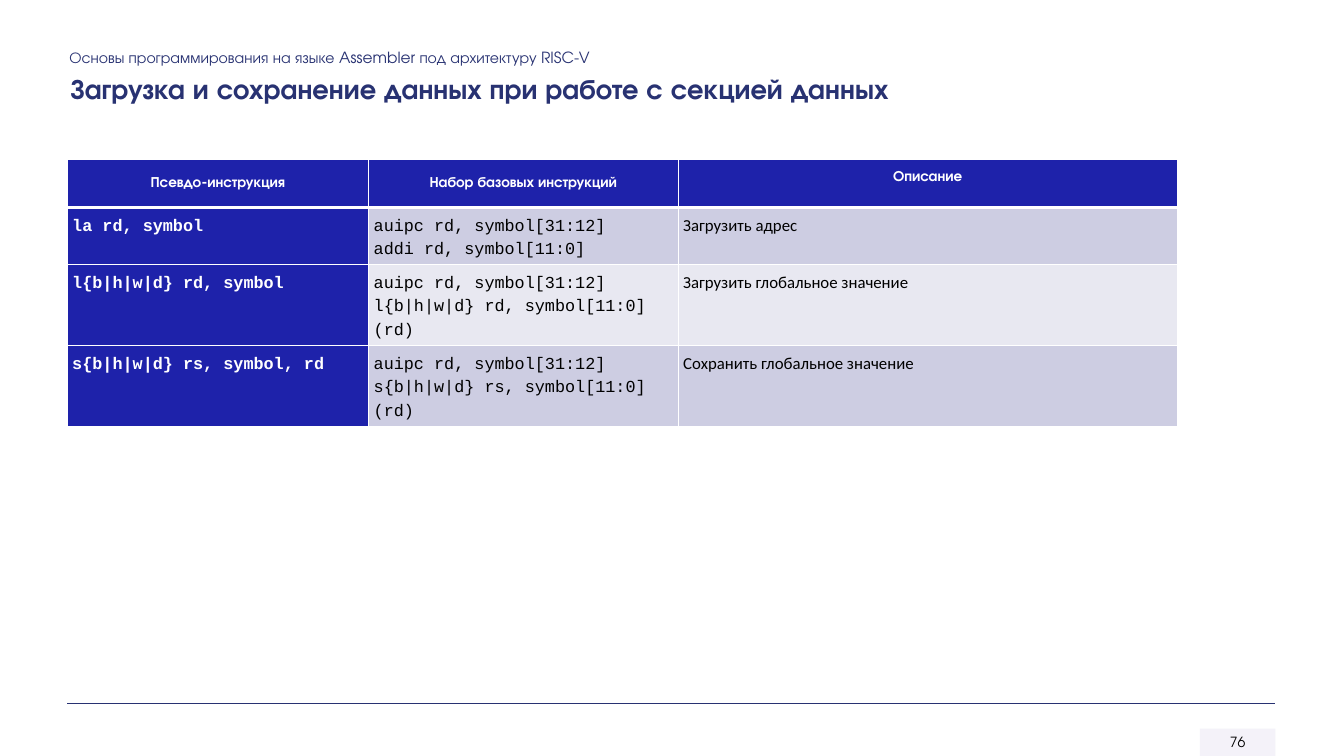
from lxml.etree import SubElement as Sub
from pptx import Presentation
from pptx.dml.color import RGBColor as RGB
from pptx.enum.shapes import MSO_CONNECTOR as CONN, MSO_SHAPE as SHAPE
from pptx.enum.text import MSO_ANCHOR as ANCHOR, PP_ALIGN as ALIGN
from pptx.oxml.ns import qn
from pptx.util import Inches, Pt

WIDTH, HEIGHT = 13.33, 7.5
COLORS = {"navy": "283272", "blue": "1E22AA", "band": "CDCDE2", "light": "E8E8F1",
          "badge": "F3F1F9", "white": "FFFFFF", "black": "000000"}
SANS, MONO, BODY = "TeX Gyre Adventor", "Courier New", "Calibri"

HEADER = {"name": SANS, "size": 10.5, "bold": True, "color": "white"}
COLUMN_FONTS = [
    {"name": MONO, "size": 12, "bold": True, "color": "white"},
    {"name": MONO, "size": 12, "bold": False, "color": "black"},
    {"name": BODY, "size": 12, "bold": False, "color": "black"},
]
HEADER_PARA = {"alignment": ALIGN.CENTER, "line_spacing": 1.07, "space_after": Pt(8)}
BODY_PARA = {"line_spacing": Pt(16.8), "space_after": Pt(8)}

COL_WIDTHS = [2.99, 3.07, 4.95]
ROW_HEIGHTS = [0.48, 0.56, 0.8, 0.8]
ROWS = [
    ["Псевдо-инструкция", "Набор базовых инструкций", "Описание"],
    ["la rd, symbol", "auipc rd, symbol[31:12]\naddi rd, symbol[11:0]", "Загрузить адрес"],
    ["l{b|h|w|d} rd, symbol", "auipc rd, symbol[31:12]\nl{b|h|w|d} rd, symbol[11:0](rd)",
     "Загрузить глобальное значение"],
    ["s{b|h|w|d} rs, symbol, rd", "auipc rd, symbol[31:12]\ns{b|h|w|d} rs, symbol[11:0](rd)",
     "Сохранить глобальное значение"],
]


def rgb(color):
    return RGB.from_string(COLORS[color])


def set_attrs(target, values):
    for key, value in values.items():
        setattr(target, key, value)


class Slide:
    """Current slide; positions and sizes are shares of its width and height."""

    def __init__(self, prs):
        self.prs = prs
        self.s = prs.slides.add_slide(prs.slide_layouts[6])

    def box(self, x, y, w, h):
        W, H = self.prs.slide_width, self.prs.slide_height
        return [int(v) for v in (x * W, y * H, w * W, h * H)]

    def fill_text(self, tf, text, font, para=None):
        p = tf.paragraphs[0]
        p.text = text
        set_attrs(p, para or {})
        for r in p.runs:
            set_attrs(r.font, {"name": font["name"], "size": Pt(font["size"]),
                               "bold": font.get("bold", False)})
            r.font.color.rgb = rgb(font["color"])

    def text(self, area, text, font, wrap=True):
        tf = self.s.shapes.add_textbox(*self.box(*area)).text_frame
        tf.word_wrap = wrap
        self.fill_text(tf, text, font)

    def rule(self, x1, x2, y, color):
        left, top, right, _ = self.box(x1, y, x2, 0)
        line = self.s.shapes.add_connector(CONN.STRAIGHT, left, top, right, top)
        line.line.color.rgb = rgb(color)
        line.line.width = Pt(1)
        Sub(line._element.spPr, qn("a:effectLst"))

    def badge(self, area, text, font, fill, opacity):
        sp = self.s.shapes.add_shape(SHAPE.RECTANGLE, *self.box(*area))
        sp.shadow.inherit = False
        sp.fill.solid()
        sp.fill.fore_color.rgb = rgb(fill)
        color = sp._element.spPr.find(f".//{qn('a:srgbClr')}")
        Sub(color, qn("a:alpha"), val=str(opacity * 1000))
        sp.line.fill.background()
        sp.text_frame.vertical_anchor = ANCHOR.MIDDLE
        self.fill_text(sp.text_frame, text, font, {"alignment": ALIGN.CENTER})

    def borders(self, cell, top, bottom):
        tcPr = cell._tc.get_or_add_tcPr()
        for side, width in {"L": 1, "R": 1, "T": top, "B": bottom}.items():
            ln = Sub(tcPr, qn(f"a:ln{side}"), w=str(Pt(width)))
            Sub(Sub(ln, qn("a:solidFill")), qn("a:srgbClr"), val=COLORS["white"])

    def cell(self, cell, row, col, text):
        head = row == 0
        self.borders(cell, 3 if row == 1 else 1, 3 if head else 1)
        cell.fill.solid()
        band = "band" if row % 2 else "light"
        cell.fill.fore_color.rgb = rgb("blue" if head or col == 0 else band)
        set_attrs(cell, {f"margin_{side}": Inches(0.05)
                         for side in ("left", "right", "top", "bottom")})
        cell.vertical_anchor = ANCHOR.MIDDLE if head else ANCHOR.TOP
        if head and col == 2:
            cell.margin_bottom = Inches(0.17)
        self.fill_text(cell.text_frame, text, HEADER if head else COLUMN_FONTS[col],
                       HEADER_PARA if head else BODY_PARA)

    def table(self, x, y, widths, heights, rows):
        area = self.box(x, y, sum(widths) / WIDTH, sum(heights) / HEIGHT)
        tbl = self.s.shapes.add_table(len(rows), len(widths), *area).table
        for column, width in zip(tbl.columns, widths):
            column.width = Inches(width)
        for i, (height, texts) in enumerate(zip(heights, rows)):
            tbl.rows[i].height = Inches(height)
            for j, text in enumerate(texts):
                self.cell(tbl.cell(i, j), i, j, text)


def main():
    prs = Presentation()
    prs.slide_width, prs.slide_height = Inches(WIDTH), Inches(HEIGHT)
    slide = Slide(prs)
    slide.badge((11.9 / WIDTH, 7.23 / HEIGHT, 0.75 / WIDTH, 0.27 / HEIGHT), "76",
                {"name": SANS, "size": 10, "color": "black"}, "badge", 90)
    slide.rule(0.05, 12.65 / WIDTH, 6.98 / HEIGHT, "navy")
    slide.text((0.59 / WIDTH, 0.43 / HEIGHT, 10.24 / WIDTH, 0.29 / HEIGHT),
               "Основы программирования на языке Assembler под архитектуру RISC-V",
               {"name": SANS, "size": 11, "color": "navy"})
    slide.text((0.6 / WIDTH, 0.66 / HEIGHT, 8.64 / WIDTH, 0.44 / HEIGHT),
               "Загрузка и сохранение данных при работе с секцией данных",
               {"name": SANS, "size": 20, "bold": True, "color": "navy"}, wrap=False)
    slide.table(0.05, 1.58 / HEIGHT, COL_WIDTHS, ROW_HEIGHTS, ROWS)
    prs.save("out.pptx")


if __name__ == "__main__":
    main()
